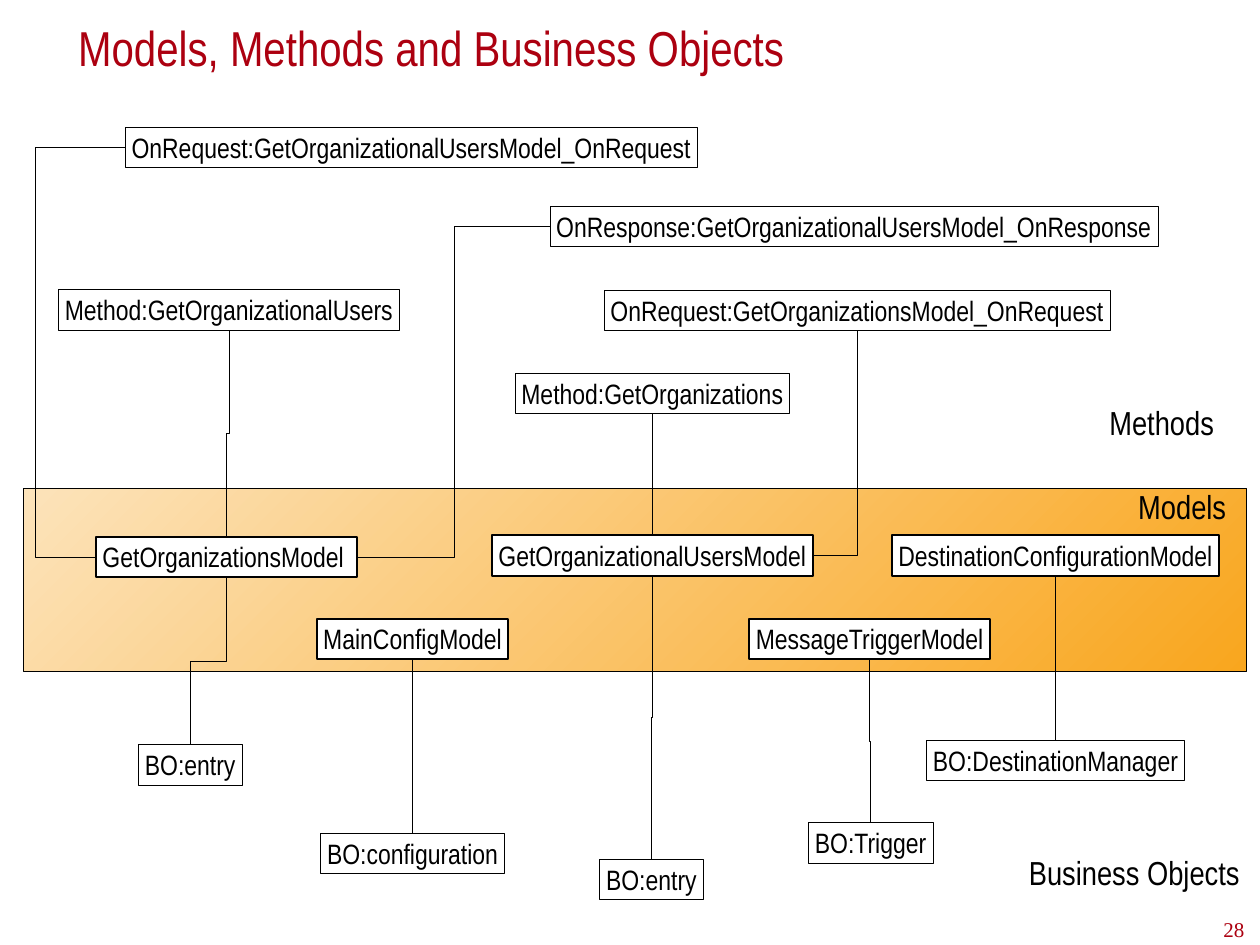
from pptx import Presentation
from pptx.dml.color import RGBColor
from pptx.enum.shapes import MSO_CONNECTOR, MSO_SHAPE
from pptx.enum.text import MSO_ANCHOR, MSO_AUTO_SIZE, PP_ALIGN
from pptx.oxml.ns import qn
from pptx.util import Inches, Pt
from lxml.etree import SubElement

RED = RGBColor(0xAC, 0x00, 0x10)
BLACK = RGBColor(0, 0, 0)
WHITE = RGBColor(0xFF, 0xFF, 0xFF)
ORANGE = RGBColor(0xF9, 0xA6, 0x1E)
CREAM = RGBColor(0xFC, 0xE3, 0xBA)
SANS = "Arial Narrow"
SERIF = "Times New Roman"
HIGH = 0.64

METHODS = {
    "list": ("Method:GetOrganizations", 8.18, 5.92, 4.35),
    "list_req": ("OnRequest:GetOrganizationsModel_OnRequest", 9.59, 4.61, 8.03),
    "user": ("Method:GetOrganizationalUsers", 0.93, 4.6, 5.41),
    "user_req": ("OnRequest:GetOrganizationalUsersModel_OnRequest", 1.99, 2.02, 9.08),
    "user_res": ("OnResponse:GetOrganizationalUsersModel_OnResponse", 8.73, 3.27, 9.65),
}
MODELS = {
    "orgs": ("GetOrganizationsModel ", 1.53, 8.52, 4.13),
    "main": ("MainConfigModel", 5.03, 9.82, 3.04),
    "message": ("MessageTriggerModel", 11.89, 9.82, 3.83),
    "target": ("DestinationConfigurationModel", 14.16, 8.5, 5.19),
    "users": ("GetOrganizationalUsersModel", 7.81, 8.5, 5.09),
}
OBJECTS = {
    "manager": ("BO:DestinationManager", 14.71, 11.75, 4.09),
    "trigger": ("BO:Trigger", 12.83, 13.06, 1.98),
    "config": ("BO:configuration", 5.09, 13.23, 2.92),
    "users_entry": ("BO:entry", 9.52, 13.64, 1.64),
    "orgs_entry": ("BO:entry", 2.2, 11.82, 1.64),
}
STRAIGHT = [("target", "manager"), ("main", "config"), ("list", "users")]
BENT = [("message", "trigger"), ("users", "users_entry"),
        ("orgs", "orgs_entry"), ("user", "orgs")]
LABELS = [
    ("Models", 17.97, 7.67, 1.59),
    ("Methods", 17.51, 6.34, 1.86),
    ("Business Objects", 16.23, 13.48, 3.55),
]


def write(shape, text, size, color=BLACK, face=SANS, align=PP_ALIGN.CENTER):
    frame = shape.text_frame
    frame.text = text
    para = frame.paragraphs[0]
    para.alignment = align
    font = para.runs[0].font
    font.size = Pt(size)
    font.name = face
    font.color.rgb = color
    return frame


def fit(frame):
    frame.word_wrap = False
    frame.auto_size = MSO_AUTO_SIZE.NONE
    frame.vertical_anchor = MSO_ANCHOR.TOP
    frame.margin_left = frame.margin_right = Inches(0.05)


def add_title(slide, left, top, width, height):
    title = slide.shapes.title
    title.left, title.top = Inches(left), Inches(top)
    title.width, title.height = Inches(width), Inches(height)
    frame = write(title, "Models, Methods and Business Objects", 56, RED,
                  align=PP_ALIGN.LEFT)
    frame.vertical_anchor = MSO_ANCHOR.MIDDLE
    frame.margin_left = frame.margin_right = Inches(0.2)
    frame.margin_top = frame.margin_bottom = Inches(0.1)


def add_rect(slide, left, top, width, height, weight):
    rect = slide.shapes.add_shape(MSO_SHAPE.RECTANGLE, Inches(left), Inches(top),
                                  Inches(width), Inches(height))
    rect.shadow.inherit = False
    rect.line.color.rgb = BLACK
    rect.line.width = Pt(weight)
    return rect


def add_band(slide, left, top, width, height):
    fill = add_rect(slide, left, top, width, height, 0.75).fill
    fill.gradient()
    fill.gradient_angle = 135
    for stop, color, place in zip(fill.gradient_stops, (ORANGE, CREAM), (0, 1)):
        stop.color.rgb = color
        stop.position = place


def add_box(slide, text, left, top, width, weight):
    box = add_rect(slide, left, top, width, HIGH, weight)
    box.fill.solid()
    box.fill.fore_color.rgb = WHITE
    fit(write(box, text, 32))
    return box


def add_layer(slide, items, weight):
    return {key: add_box(slide, *item, weight) for key, item in items.items()}


def add_line(slide, kind, start, end):
    line = slide.shapes.add_connector(kind, *start, *end)
    line.line.color.rgb = BLACK
    line.line.width = Pt(0.75)
    SubElement(line._element.spPr, qn("a:effectLst"))
    return line


def port(box, side):
    across, down = [(0.5, 0), (0, 0.5), (0.5, 1), (1, 0.5)][side]
    return int(box.left + box.width * across), int(box.top + box.height * down)


def join(slide, upper, lower):
    line = add_line(slide, MSO_CONNECTOR.STRAIGHT, port(upper, 2), port(lower, 0))
    line.begin_connect(upper, 2)
    line.end_connect(lower, 0)


def drop(slide, upper, lower):
    (x1, y1), (x2, y2) = port(upper, 2), port(lower, 0)
    wide, tall = y2 - y1, abs(x2 - x1)
    left, top = (x1 + x2 - wide) // 2, (y1 + y2 - tall) // 2
    line = add_line(slide, MSO_CONNECTOR.ELBOW, (left, top), (left + wide, top + tall))
    frame = line._element.spPr.find(qn("a:xfrm"))
    frame.set("rot", "5400000")
    if x2 > x1:
        frame.set("flipV", "1")


def wrap(slide, first, last, side, bend):
    start, end = port(first, 1), port(last, side)
    line = add_line(slide, MSO_CONNECTOR.ELBOW, start, end)
    ratio = (Inches(bend) - start[0]) / (end[0] - start[0])
    guides = line._element.spPr.find(qn("a:prstGeom")).get_or_add_avLst()
    SubElement(guides, qn("a:gd"), name="adj1", fmla=f"val {round(ratio * 100000)}")


def turn(slide, first, last):
    line = add_line(slide, MSO_CONNECTOR.ELBOW, port(first, 3), port(last, 2))
    line._element.spPr.find(qn("a:prstGeom")).set("prst", "bentConnector2")


def add_links(slide, boxes):
    for upper, lower in STRAIGHT:
        join(slide, boxes[upper], boxes[lower])
    for upper, lower in BENT:
        drop(slide, boxes[upper], boxes[lower])
    wrap(slide, boxes["user_req"], boxes["orgs"], 1, 0.56)
    wrap(slide, boxes["user_res"], boxes["orgs"], 3, 7.21)
    turn(slide, boxes["users"], boxes["list_req"])


def add_label(slide, text, left, top, width):
    label = slide.shapes.add_textbox(Inches(left), Inches(top),
                                     Inches(width), Inches(0.74))
    fit(write(label, text, 38))


def add_number(slide, left, top, width, height):
    label = slide.shapes.add_textbox(Inches(left), Inches(top),
                                     Inches(width), Inches(height))
    frame = write(label, "28", 24, RED, SERIF)
    frame.word_wrap = True
    frame.vertical_anchor = MSO_ANCHOR.MIDDLE
    frame.margin_left = frame.margin_right = 0
    frame.margin_top = frame.margin_bottom = 0


def main():
    deck = Presentation()
    deck.slide_width, deck.slide_height = Inches(20), Inches(15)
    slide = deck.slides.add_slide(deck.slide_layouts[5])
    add_band(slide, 0.37, 7.75, 19.42, 2.91)
    add_title(slide, 1.04, 0, 18.26, 1.5)
    boxes = add_layer(slide, METHODS, 0.75)
    boxes.update(add_layer(slide, MODELS, 2.25))
    boxes.update(add_layer(slide, OBJECTS, 0.75))
    add_links(slide, boxes)
    for label in LABELS:
        add_label(slide, *label)
    add_number(slide, 19.17, 14.58, 0.83, 0.33)
    deck.save("out.pptx")


if __name__ == "__main__":
    main()
